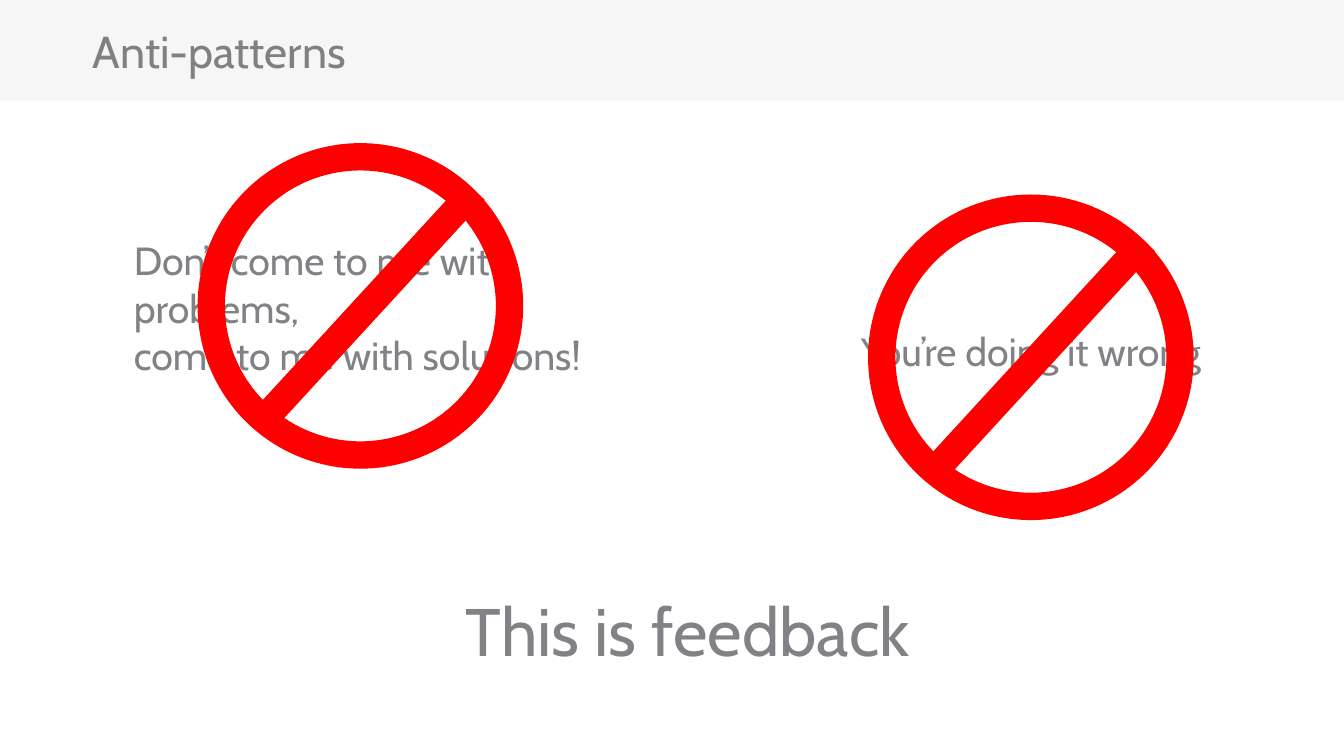
import pptx
import pptx.util
import pptx.dml.color
import pptx.enum.shapes
import pptx.enum.text
import pptx.oxml

Inches, Pt = pptx.util.Inches, pptx.util.Pt
SHAPE = pptx.enum.shapes.MSO_SHAPE
TEXT = pptx.enum.text
FONT = "Cabin"
WIDTH, HEIGHT = 13.33, 7.5
SIGN_SIZE = 3.23


def color(hex_string):
    return pptx.dml.color.RGBColor.from_string(hex_string)


def add_run(p, text, size, hex_string):
    r = p.add_run()
    r.text = text
    r.font.name, r.font.size = FONT, Pt(size)
    r.font.color.rgb = color(hex_string)


def add_filled_shape(s, kind, x, y, w, h, fill):
    sp = s.shapes.add_shape(kind, Inches(x), Inches(y), Inches(w), Inches(h))
    sp.shadow.inherit = False
    sp.fill.solid()
    sp.fill.fore_color.rgb = color(fill)
    sp.line.fill.background()
    return sp


def add_header(s, text, x, y, w, h):
    # Grey band, behind the title
    band = add_filled_shape(s, SHAPE.RECTANGLE, x, y, w, h, "F6F6F6")
    s.shapes._spTree.insert(2, band._element)

    # Title placeholder, inset from both sides of the band
    title = s.shapes.title
    title.left, title.top = Inches(x + 0.92), Inches(y)
    title.width, title.height = Inches(10.91), Inches(h)
    tf = title.text_frame
    tf.word_wrap = True
    tf.auto_size = TEXT.MSO_AUTO_SIZE.NONE
    tf.vertical_anchor = TEXT.MSO_ANCHOR.MIDDLE
    tf.margin_left = 0
    p = tf.paragraphs[0]
    p.alignment = TEXT.PP_ALIGN.LEFT
    p.space_after = Pt(6)
    add_run(p, text, 32, "808080")


def add_text(s, lines, x, y, w, h, size=28, wrap=True):
    tf = s.shapes.add_textbox(Inches(x), Inches(y), Inches(w), Inches(h)).text_frame
    tf.word_wrap = wrap
    tf.auto_size = TEXT.MSO_AUTO_SIZE.SHAPE_TO_FIT_TEXT
    for i, line in enumerate(lines):
        p = tf.add_paragraph() if i else tf.paragraphs[0]
        add_run(p, line, size, "808285")


def add_no_sign(s, x, y, size):
    # Ring
    ring = add_filled_shape(s, SHAPE.DONUT, x, y, size, size, "FF0000")
    ring.adjustments[0] = 0.084

    # Diagonal bar, as shares of the ring's box
    bar = s.shapes.add_connector(
        pptx.enum.shapes.MSO_CONNECTOR.STRAIGHT,
        Inches(x + 0.23 * size), Inches(y + 0.82 * size),
        Inches(x + 0.85 * size), Inches(y + 0.145 * size))
    bar.line.color.rgb = color("FF0000")
    bar.line.width = Pt(20)
    bar._element.spPr.append(pptx.oxml.parse_xml(
        '<a:effectLst xmlns:a="http://schemas.openxmlformats.org/drawingml/2006/main"/>'))


def main():
    prs = pptx.Presentation()
    prs.slide_width, prs.slide_height = Inches(WIDTH), Inches(HEIGHT)
    s = prs.slides.add_slide(prs.slide_layouts[5])

    add_header(s, "Anti-patterns", 0, 0, WIDTH, 1)

    # Conclusion and the two quoted phrases
    add_text(s, ["This is feedback"], 4.52, 5.8, 5.37, 0.91, size=48)
    add_text(s, ["You’re doing it wrong"], 8.44, 3.2, 3.59, 0.57, wrap=False)
    add_text(s, ["Don’t come to me with problems,", "come to me with solutions!"],
             1.23, 2.3, 5.57, 1.04)

    # A prohibition sign over each phrase
    for x, y in ((1.96, 1.42), (8.61, 1.93)):
        add_no_sign(s, x, y, SIGN_SIZE)

    prs.save("out.pptx")


if __name__ == "__main__":
    main()
